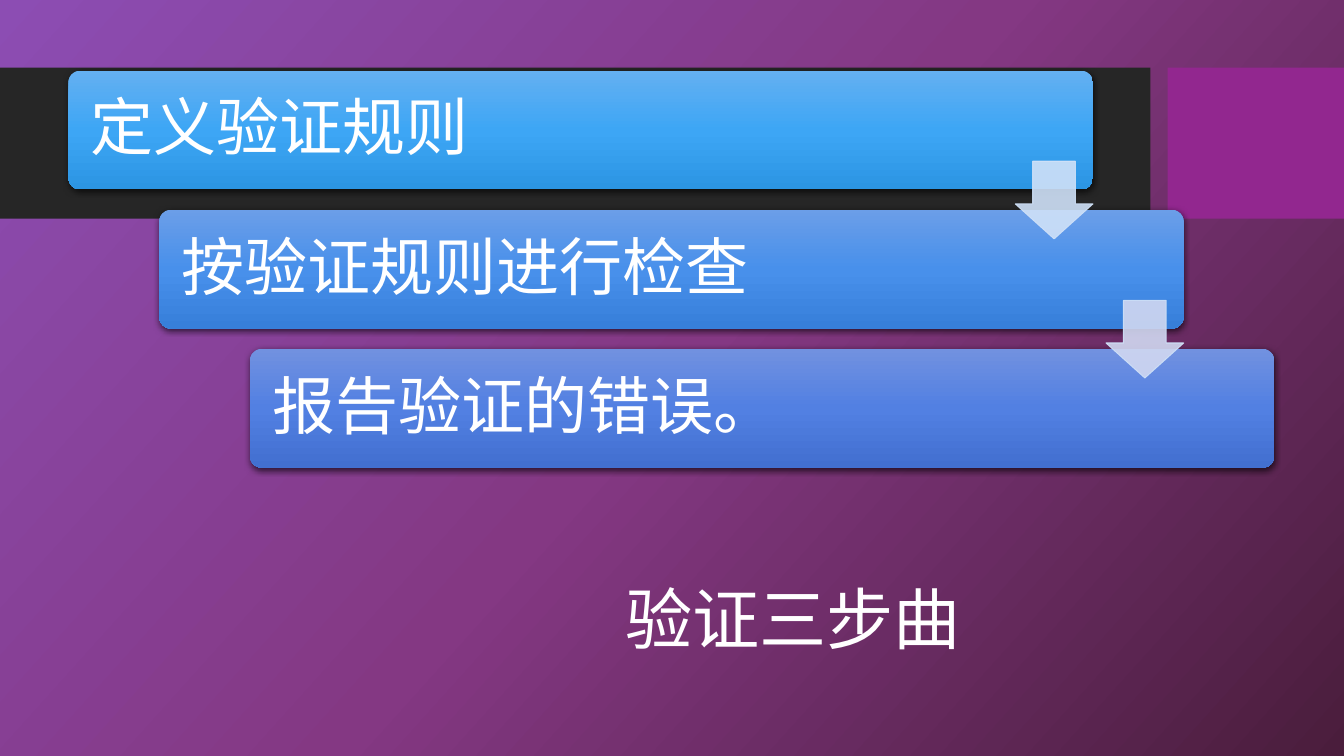
from typing import NamedTuple

from lxml.etree import SubElement
from pptx import Presentation
from pptx.dml.color import RGBColor
from pptx.enum.shapes import MSO_SHAPE
from pptx.enum.text import MSO_ANCHOR, PP_ALIGN
from pptx.oxml.ns import qn
from pptx.util import Pt

EMU_PER_PX = 9144
STEP_RIGHT, STEP_DOWN = 90, 138
WHITE = "FFFFFF"


class Box(NamedTuple):
    left: int
    top: int
    width: int
    height: int

    def moved(self, steps: int) -> "Box":
        return self._replace(left=self.left + steps * STEP_RIGHT,
                             top=self.top + steps * STEP_DOWN)


class Step(NamedTuple):
    text: str
    text_width: int
    gradient: tuple[str, ...]


class Band(NamedTuple):
    box: Box
    color: str


BACKGROUND = ("8C4DB3", "843883", "4A1D3C")
BANDS = [
    Band(Box(0, 67, 1141, 150), "262626"),
    Band(Box(1158, 67, 175, 150), "92278F"),
]
STEPS = [
    Step("定义验证规则", 889, ("64B0F1", "3DA6F5", "2C95E3")),
    Step("按验证规则进行检查", 843, ("6B9EE8", "4890EB", "377FDA")),
    Step("报告验证的错误。", 843, ("7191E0", "5280E2", "426FD0")),
]
ARROW_COLORS = ["CFE1F8", "D1D8F1"]
ARROW_LINE = "CFE1F8"
FIRST_CARD = Box(68, 70, 1016, 118)
FIRST_LABEL = Box(71, 74, 889, 111)
FIRST_ARROW = Box(1007, 160, 77, 77)
TITLE_BOX = Box(74, 516, 889, 143)


def px(length: int) -> int:
    return length * EMU_PER_PX


def rgb(color: str) -> RGBColor:
    return RGBColor.from_string(color)


def add_color(parent, color: str, alpha: int = 100) -> None:
    element = SubElement(parent, qn("a:srgbClr"), val=color)
    if alpha < 100:
        SubElement(element, qn("a:alpha"), val=str(alpha * 1000))


def set_gradient(fill, owner, colors: tuple[str, ...], angle: int) -> None:
    """Fill with evenly spaced stops; owner is the XML element holding the fill."""
    fill.gradient()
    gradient = owner.xpath(".//a:gradFill")[0]
    for child in list(gradient):
        gradient.remove(child)
    stops = SubElement(gradient, qn("a:gsLst"))
    for index, color in enumerate(colors):
        position = index * 100000 // (len(colors) - 1)
        add_color(SubElement(stops, qn("a:gs"), pos=str(position)), color)
    SubElement(gradient, qn("a:lin"), ang=str(angle * 60000), scaled="0")


def add_shape(slide, kind: MSO_SHAPE, box: Box, adjustments: tuple[float, ...] = ()):
    shape = slide.shapes.add_shape(kind, *map(px, box))
    shape.shadow.inherit = False
    shape.line.fill.background()
    for index, value in enumerate(adjustments):
        shape.adjustments[index] = value
    return shape


def add_band(slide, band: Band) -> None:
    shape = add_shape(slide, MSO_SHAPE.RECTANGLE, band.box)
    shape.fill.solid()
    shape.fill.fore_color.rgb = rgb(band.color)


def add_text(slide, box: Box, text: str, size: int, frame_format: dict,
             alignment: PP_ALIGN) -> None:
    frame = slide.shapes.add_textbox(*map(px, box)).text_frame
    for name, value in {"word_wrap": True, **frame_format}.items():
        setattr(frame, name, value)
    paragraph = frame.paragraphs[0]
    paragraph.text = text
    for name, value in {"alignment": alignment, "line_spacing": 0.9}.items():
        setattr(paragraph, name, value)
    font = paragraph.runs[0].font
    for name, value in {"name": "Roboto", "size": Pt(size)}.items():
        setattr(font, name, value)
    font.color.rgb = rgb(WHITE)


def add_step(slide, index: int, step: Step) -> None:
    card = add_shape(slide, MSO_SHAPE.ROUNDED_RECTANGLE, FIRST_CARD.moved(index), (0.1,))
    properties = card.element.spPr
    set_gradient(card.fill, properties, step.gradient, 90)
    effects = properties.find(qn("a:effectLst"))
    shadow = SubElement(effects, qn("a:outerShdw"), blurRad=str(Pt(4.5)),
                        dist=str(Pt(1.5)), dir=str(90 * 60000), rotWithShape="0")
    add_color(shadow, "000000", 63)
    margins = {f"margin_{side}": px(19) for side in ("left", "top", "right", "bottom")}
    label_box = FIRST_LABEL.moved(index)._replace(width=step.text_width)
    add_text(slide, label_box, step.text, 45,
             {"vertical_anchor": MSO_ANCHOR.MIDDLE, **margins}, PP_ALIGN.LEFT)


def add_arrow(slide, index: int, color: str) -> None:
    arrow = add_shape(slide, MSO_SHAPE.DOWN_ARROW, FIRST_ARROW.moved(index), (0.55, 0.45))
    arrow.line.width = Pt(0.75)
    for fill, fill_color in ((arrow.fill, color), (arrow.line.fill, ARROW_LINE)):
        fill.solid()
        fill.fore_color.rgb = rgb(fill_color)
    for element in arrow.element.spPr.xpath(".//a:srgbClr"):
        SubElement(element, qn("a:alpha"), val="90000")


def main() -> None:
    presentation = Presentation()
    presentation.slide_width, presentation.slide_height = px(1333), px(750)
    slide = presentation.slides.add_slide(presentation.slide_layouts[6])
    set_gradient(slide.background.fill, slide.element, BACKGROUND, 42)
    for band in BANDS:
        add_band(slide, band)
    add_text(slide, TITLE_BOX, "验证三步曲", 48,
             {"vertical_anchor": MSO_ANCHOR.BOTTOM}, PP_ALIGN.RIGHT)
    for index, step in enumerate(STEPS):
        add_step(slide, index, step)
    for index, color in enumerate(ARROW_COLORS):
        add_arrow(slide, index, color)
    presentation.save("out.pptx")


if __name__ == "__main__":
    main()
